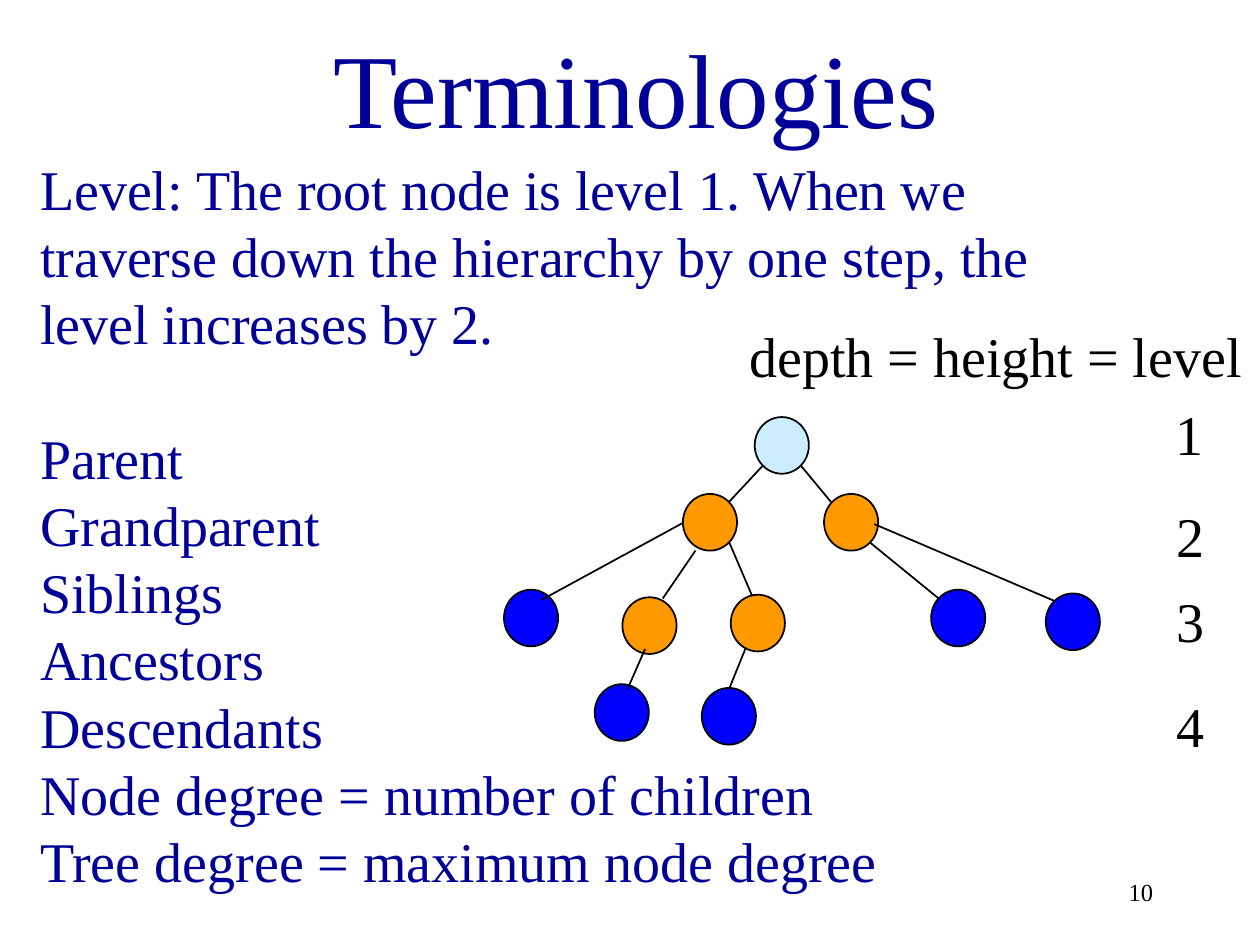
from pptx import Presentation
from pptx.dml.color import RGBColor
from pptx.enum.shapes import MSO_CONNECTOR, MSO_SHAPE
from pptx.enum.text import MSO_ANCHOR, MSO_AUTO_SIZE, PP_ALIGN
from pptx.oxml.ns import qn
from pptx.util import Inches, Pt
from lxml.etree import SubElement

NAVY = RGBColor(0x00, 0x00, 0x99)
BLACK = RGBColor(0x00, 0x00, 0x00)
PALE = RGBColor(0xCC, 0xEC, 0xFF)
ORANGE = RGBColor(0xFF, 0x99, 0x00)
BLUE = RGBColor(0x00, 0x00, 0xFF)

COLUMNS, ROWS = 100, 75
NODE_W, NODE_H = 4.3, 4.5

DEFINITION = ("Level: The root node is level 1. When we traverse down the "
              "hierarchy by one step, the level increases by 2.")
TERMS = ["Parent", "Grandparent", "Siblings", "Ancestors", "Descendants",
         "Node degree = number of children",
         "Tree degree = maximum node degree"]

NODES = [
    (PALE, [(59.9, 33.1)]),
    (ORANGE, [(54.2, 39.2), (65.4, 39.2), (49.4, 47.4), (58, 47.2)]),
    (BLUE, [(47.2, 54.3), (55.7, 54.6), (73.9, 46.8), (83, 47.1), (40, 46.8)]),
]
EDGES = [
    (60.5, 37, 57.8, 39.9), (63.6, 37, 66, 39.9),
    (54.2, 41.5, 43, 47.6), (55.2, 43.7, 52.6, 47.5),
    (57.9, 43.1, 59.7, 47.3), (69.1, 43.1, 74.5, 47.5),
    (69.4, 41.6, 83.7, 47.7), (51.2, 51.5, 49.8, 54.7),
    (59.2, 51.4, 57.9, 54.6),
]
LEVELS = [("1", 92.3, 31.2), ("2", 92.4, 39.3),
          ("3", 92.4, 46.1), ("4", 92.4, 54.4)]


class SlideBuilder:
    font = "Times New Roman"
    size = 32
    line_width = Pt(1)

    def __init__(self, prs):
        self.column = prs.slide_width / COLUMNS
        self.row = prs.slide_height / ROWS
        self.s = prs.slides.add_slide(prs.slide_layouts[5])

    def grid(self, *values):
        units = (self.column, self.row) * 2
        return [round(v * unit) for v, unit in zip(values, units)]

    def fill_text(self, tf, paragraphs, color, size=None, align=PP_ALIGN.LEFT,
                  anchor=MSO_ANCHOR.TOP, wrap=True):
        tf.auto_size = MSO_AUTO_SIZE.NONE
        tf.word_wrap = wrap
        tf.vertical_anchor = anchor
        for i, text in enumerate(paragraphs):
            p = tf.add_paragraph() if i else tf.paragraphs[0]
            p.alignment = align
            r = p.add_run()
            r.text = text
            r.font.name = self.font
            r.font.size = Pt(size or self.size)
            r.font.color.rgb = color
        return tf.paragraphs

    def title(self, text, *box):
        sp = self.s.shapes.title
        sp.left, sp.top, sp.width, sp.height = self.grid(*box)
        self.fill_text(sp.text_frame, [text], NAVY, 60, PP_ALIGN.CENTER,
                       MSO_ANCHOR.BOTTOM)

    def text(self, paragraphs, *box, color=BLACK, **style):
        sp = self.s.shapes.add_textbox(*self.grid(*box))
        return self.fill_text(sp.text_frame, paragraphs, color, **style)

    def node(self, left, top, color):
        sp = self.s.shapes.add_shape(
            MSO_SHAPE.OVAL, *self.grid(left, top, NODE_W, NODE_H))
        sp.shadow.inherit = False
        sp.fill.solid()
        sp.fill.fore_color.rgb = color
        sp.line.color.rgb = BLACK
        sp.line.width = self.line_width

    def edge(self, *ends):
        line = self.s.shapes.add_connector(
            MSO_CONNECTOR.STRAIGHT, *self.grid(*ends))
        line.line.color.rgb = BLACK
        line.line.width = self.line_width
        SubElement(line._element.spPr, qn("a:effectLst"))


def main():
    prs = Presentation()
    prs.slide_width, prs.slide_height = Inches(10), Inches(7.5)
    slide = SlideBuilder(prs)

    slide.title("Terminologies", 8, -0.1, 85, 12.5)
    body = slide.text([DEFINITION, *TERMS], 2.2, 24.8, 89.3, 33.6,
                      color=NAVY, anchor=MSO_ANCHOR.MIDDLE)
    line_height = Pt(38.4)
    for p in body:
        p.line_spacing = line_height
    body[1].space_before = line_height

    for color, places in NODES:
        for left, top in places:
            slide.node(left, top, color)
    for ends in EDGES:
        slide.edge(*ends)

    for level, left, top in LEVELS:
        slide.text([level], left, top, 4.3, 6.4, wrap=False)
    slide.text(["depth = height = level"], 58.5, 25, 41.5, 6.4, wrap=False)
    slide.text(["10"], 71.7, 68.3, 20.8, 5, size=14,
               align=PP_ALIGN.RIGHT, anchor=MSO_ANCHOR.MIDDLE)

    prs.save("out.pptx")


if __name__ == "__main__":
    main()
